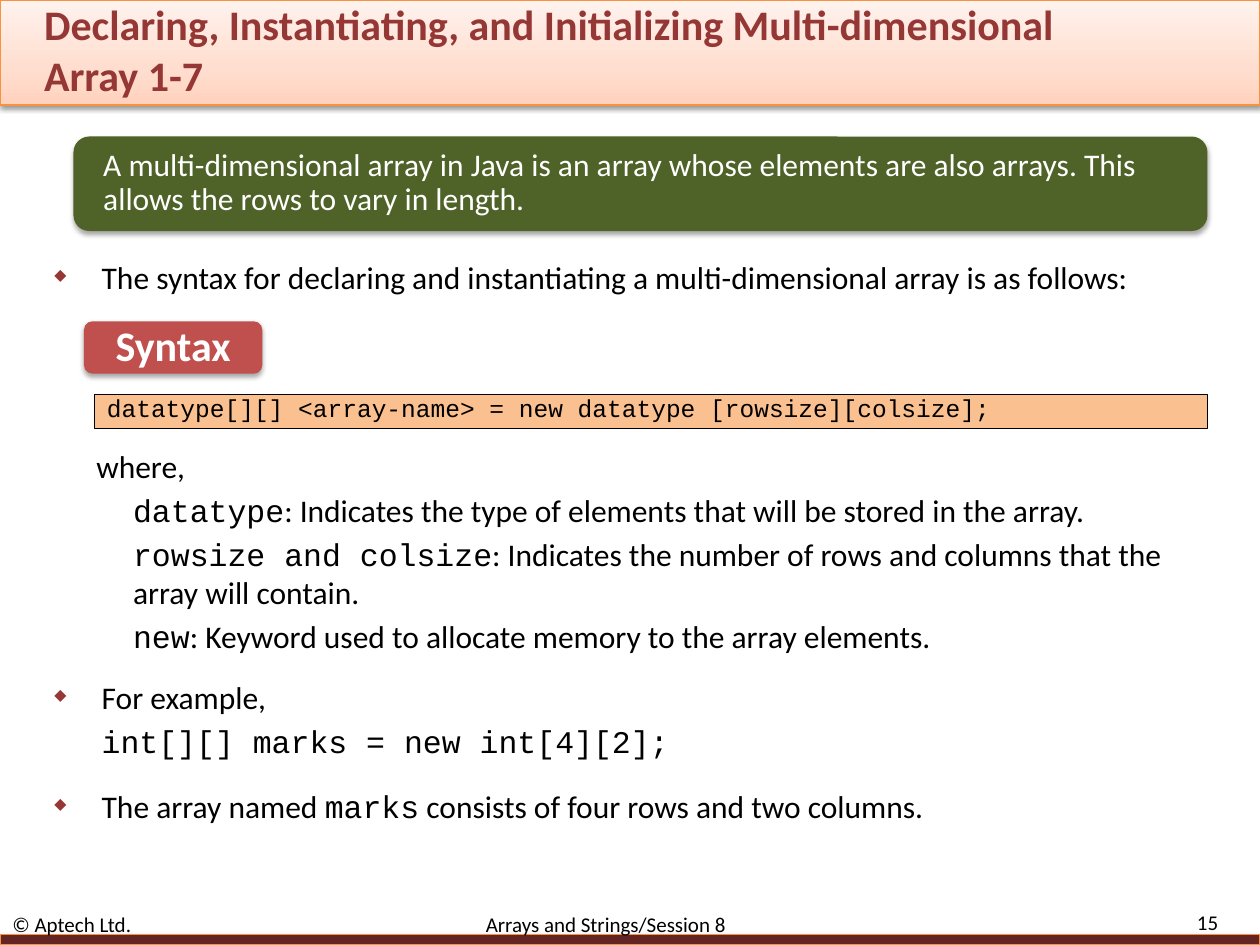
from copy import deepcopy
from dataclasses import dataclass

from lxml.etree import SubElement
from pptx import Presentation
from pptx.dml.color import RGBColor
from pptx.enum.shapes import MSO_SHAPE
from pptx.enum.text import MSO_ANCHOR, MSO_AUTO_SIZE, PP_ALIGN
from pptx.oxml.ns import qn
from pptx.util import Pt


@dataclass(frozen=True)
class Theme:
    sans: str = "Calibri"
    mono: str = "Courier New"
    heading: int = 24
    body: int = 18
    code: int = 14
    footer: int = 12
    black: str = "000000"
    white: str = "FFFFFF"
    title: str = "953735"
    title_outline: str = "632523"
    bullet: str = "973735"
    footer_band: str = "632523"
    band_line: str = "F69240"
    definition: str = "4F6228"
    syntax: str = "C0504D"
    code_fill: str = "FAC090"
    band_stops: tuple = ((0, "FFD2BD"), (0.35, "FFDED0"), (1, "FFF2ED"))


THEME = Theme()


@dataclass(frozen=True)
class Box:
    left: float
    top: float
    width: float
    height: float

    def lengths(self) -> tuple:
        return tuple(Pt(v) for v in (self.left, self.top, self.width, self.height))


@dataclass(frozen=True)
class Run:
    text: str
    font: str = THEME.sans


@dataclass(frozen=True)
class Line:
    runs: tuple
    indent: float = 0
    bullet: bool = False


@dataclass(frozen=True)
class Passage:
    box: Box
    lines: tuple


def rgb(value: str) -> RGBColor:
    return RGBColor.from_string(value)


def write_text(paragraph, text: str, *, size: float = THEME.body, color: str = THEME.black,
               font: str = THEME.sans, bold: bool = False):
    run = paragraph.add_run()
    run.text = text
    run.font.size = Pt(size)
    run.font.name = font
    run.font.bold = bold
    run.font.color.rgb = rgb(color)
    return run


def prepare_frame(shape, anchor=MSO_ANCHOR.MIDDLE, side: float = 7.2):
    frame = shape.text_frame
    frame.word_wrap = True
    frame.auto_size = MSO_AUTO_SIZE.NONE
    frame.vertical_anchor = anchor
    frame.margin_left = frame.margin_right = Pt(side)
    frame.margin_top = frame.margin_bottom = Pt(3.6)
    return frame


def add_block(slide, box: Box, fill: str = "", line: str = "", kind=MSO_SHAPE.RECTANGLE,
              shadow_opacity: int = 0, shadow_distance: float = 1.8):
    block = slide.shapes.add_shape(kind, *box.lengths())
    block.shadow.inherit = False
    if fill:
        block.fill.solid()
        block.fill.fore_color.rgb = rgb(fill)
    if line:
        block.line.color.rgb = rgb(line)
        block.line.width = Pt(0.75)
    else:
        block.line.fill.background()
    if shadow_opacity:
        effects = block.element.spPr.find(qn("a:effectLst"))
        shadow = SubElement(effects, qn("a:outerShdw"), blurRad=str(Pt(3.1)),
                            dist=str(Pt(shadow_distance)), dir="5400000", rotWithShape="0")
        tone = SubElement(shadow, qn("a:srgbClr"), val=THEME.black)
        SubElement(tone, qn("a:alpha"), val=str(shadow_opacity * 1000))
    return block


def add_title_band(slide) -> None:
    band = add_block(slide, Box(0, 0, 720, 60), line=THEME.band_line,
                     shadow_opacity=38, shadow_distance=1.6)
    band.fill.gradient()
    band.fill.gradient_angle = 90
    stops = band.element.spPr.find(".//" + qn("a:gsLst"))
    stops.insert(1, deepcopy(stops[0]))
    for stop, (position, color) in zip(band.fill.gradient_stops, THEME.band_stops):
        stop.position = position
        stop.color.rgb = rgb(color)


def add_title(slide, text: str) -> None:
    title = slide.shapes.title
    title.element.getparent().append(title.element)
    title.left, title.top, title.width, title.height = Box(18, 12, 600, 32.4).lengths()
    paragraph = prepare_frame(title).paragraphs[0]
    paragraph.alignment = PP_ALIGN.LEFT
    run = write_text(paragraph, text, size=THEME.heading, color=THEME.title, bold=True)
    properties = run.font.fill and paragraph.runs[0].font
    outline = SubElement(paragraph.runs[0]._r.get_or_add_rPr(), qn("a:ln"), w=str(Pt(0.75)))
    SubElement(SubElement(outline, qn("a:solidFill")), qn("a:srgbClr"), val=THEME.title_outline)
    outline.getparent().insert(0, outline)


def add_label(slide, box: Box, text: str, fill: str, *, align=PP_ALIGN.LEFT, **text_format) -> None:
    label = add_block(slide, box, fill, kind=MSO_SHAPE.ROUNDED_RECTANGLE, shadow_opacity=35)
    paragraph = prepare_frame(label, side=14.4).paragraphs[0]
    paragraph.alignment = align
    paragraph.line_spacing = 0.9
    write_text(paragraph, text, color=THEME.white, **text_format)


def add_code(slide, box: Box, text: str) -> None:
    code = add_block(slide, box, THEME.code_fill, THEME.black)
    paragraph = prepare_frame(code, MSO_ANCHOR.TOP).paragraphs[0]
    paragraph.alignment = PP_ALIGN.LEFT
    paragraph.line_spacing = 0.7
    write_text(paragraph, text, size=THEME.code, font=THEME.mono)


def add_passage(slide, passage: Passage) -> None:
    frame = prepare_frame(slide.shapes.add_textbox(*passage.box.lengths()), MSO_ANCHOR.TOP)
    for index, line in enumerate(passage.lines):
        paragraph = frame.add_paragraph() if index else frame.paragraphs[0]
        properties = paragraph._p.get_or_add_pPr()
        properties.set("marL", str(Pt(line.indent)))
        properties.set("indent", str(-Pt(line.indent) if line.bullet else 0))
        if line.bullet:
            SubElement(SubElement(properties, qn("a:buClr")), qn("a:srgbClr"), val=THEME.bullet)
            SubElement(properties, qn("a:buSzPct"), val="50000")
            SubElement(properties, qn("a:buChar"), char="◆")
        if index:
            paragraph.space_before = Pt(3.6)
        for run in line.runs:
            write_text(paragraph, run.text, font=run.font)


def add_footer(slide, box: Box, text: str, align=PP_ALIGN.LEFT, tab: float = 0) -> None:
    paragraph = prepare_frame(slide.shapes.add_textbox(*box.lengths())).paragraphs[0]
    if tab:
        stops = SubElement(paragraph._p.get_or_add_pPr(), qn("a:tabLst"))
        SubElement(stops, qn("a:tab"), pos=str(Pt(tab)), algn="l")
    paragraph.alignment = align
    write_text(paragraph, text, size=THEME.footer)


def term(name: str, meaning: str) -> Line:
    return Line((Run(name, THEME.mono), Run(": " + meaning)), indent=21)


def bullet(*runs: Run) -> Line:
    return Line(runs, indent=27, bullet=True)


PASSAGES = (
    Passage(Box(24, 144, 678, 33), (
        bullet(Run("The syntax for declaring and instantiating a multi-dimensional array is as follows:")),)),
    Passage(Box(48, 252, 654, 129.6), (
        Line((Run("where,"),)),
        term("datatype", "Indicates the type of elements that will be stored in the array."),
        term("rowsize and colsize",
             "Indicates the number of rows and columns that the array will contain."),
        term("new", "Keyword used to allocate memory to the array elements."))),
    Passage(Box(24, 384, 678, 54), (
        bullet(Run("For example,")),
        Line((Run("int[][] marks = new int[4][2];", THEME.mono),), indent=27))),
    Passage(Box(24, 446.4, 678, 33), (
        bullet(Run("The array named "), Run("marks", THEME.mono),
               Run(" consists of four rows and two columns.")),)),
)


def main() -> None:
    deck = Presentation()
    deck.slide_width, deck.slide_height = Pt(720), Pt(540)
    slide = deck.slides.add_slide(deck.slide_layouts[5])
    add_title_band(slide)
    add_block(slide, Box(0, 534, 720, 6), THEME.footer_band, THEME.band_line, shadow_opacity=35)
    add_title(slide, "Declaring, Instantiating, and Initializing Multi-dimensional Array 1-7")
    add_footer(slide, Box(642, 520.5, 61.2, 13), "15", PP_ALIGN.RIGHT)
    add_footer(slide, Box(0, 522, 636, 12), "© Aptech Ltd.\tArrays and Strings/Session 8", tab=270.5)
    add_label(slide, Box(42, 78, 648, 54),
              "A multi-dimensional array in Java is an array whose elements are also arrays. "
              "This allows the rows to vary in length.", THEME.definition)
    add_label(slide, Box(48, 183.6, 102, 30), "Syntax", THEME.syntax,
              align=PP_ALIGN.CENTER, size=THEME.heading, bold=True)
    add_code(slide, Box(54, 225.4, 636, 19.4),
             "datatype[][] <array-name> = new datatype [rowsize][colsize];")
    for passage in PASSAGES:
        add_passage(slide, passage)
    deck.save("out.pptx")


if __name__ == "__main__":
    main()
